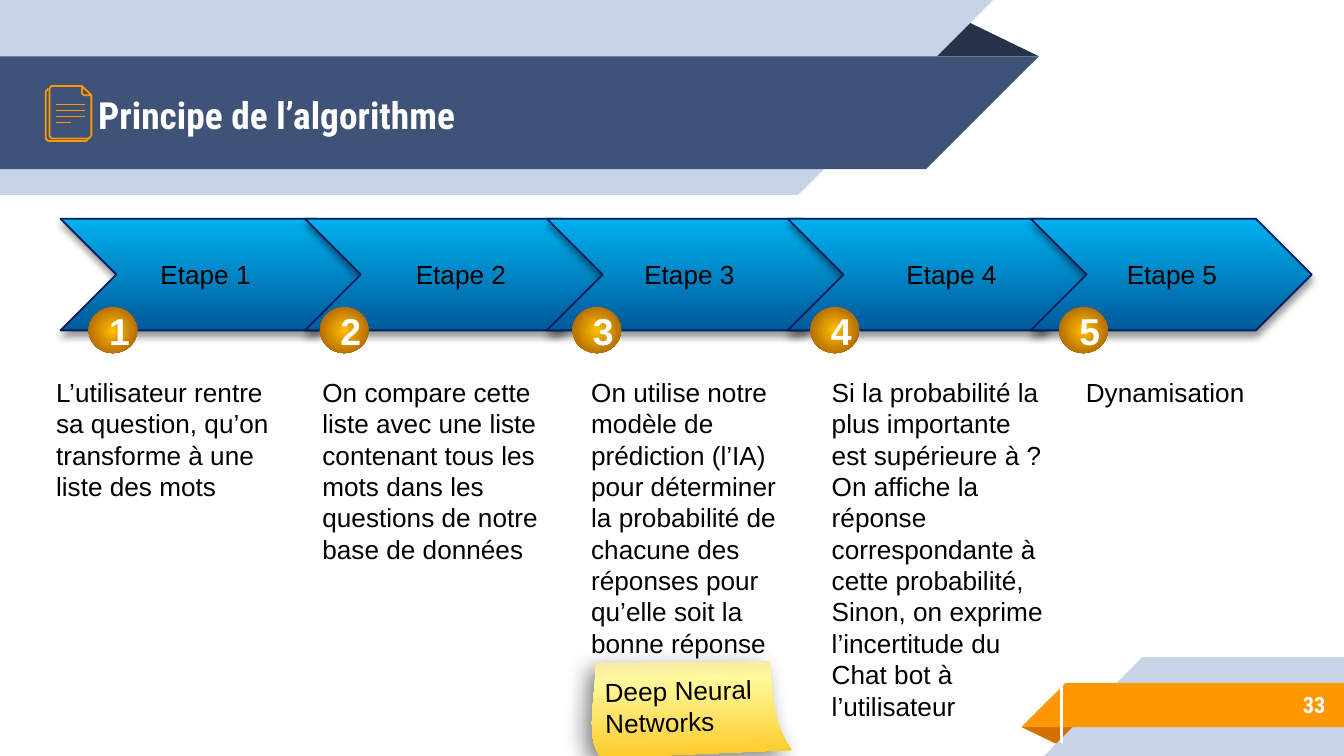
from dataclasses import dataclass

from lxml import etree
from pptx import Presentation
from pptx.dml.color import RGBColor
from pptx.enum.shapes import MSO_CONNECTOR as Connector, MSO_SHAPE as Shape
from pptx.enum.text import MSO_ANCHOR as Anchor, MSO_AUTO_SIZE as AutoSize, PP_ALIGN as Align
from pptx.oxml import parse_xml
from pptx.oxml.ns import nsdecls, qn
from pptx.slide import Slide
from pptx.util import Pt

BLACK = RGBColor(0x00, 0x00, 0x00)
WHITE = RGBColor(0xFF, 0xFF, 0xFF)
PALE_BLUE = RGBColor(0xC7, 0xD3, 0xE6)
SLATE = RGBColor(0x3F, 0x53, 0x78)
DARK_SLATE = RGBColor(0x26, 0x32, 0x48)
ORANGE = RGBColor(0xFF, 0x98, 0x00)
DARK_ORANGE = RGBColor(0xD2, 0x6F, 0x00)
NAVY = RGBColor(0x00, 0x20, 0x60)
SKY = RGBColor(0x00, 0xB0, 0xF0)
DEEP_BLUE = RGBColor(0x00, 0x5A, 0x9A)
GOLD = RGBColor(0xFF, 0xC0, 0x00)
BROWN = RGBColor(0x9E, 0x53, 0x00)
CREAM = RGBColor(0xF6, 0xE7, 0xA6)
LEMON = RGBColor(0xFE, 0xF9, 0x9C)
AMBER = RGBColor(0xFF, 0xC9, 0x26)

DOWNWARD = '<a:lin ang="5400000" scaled="0"/>'
RADIAL = '<a:path path="circle"><a:fillToRect l="50000" t="50000" r="50000" b="50000"/></a:path>'


def bezier(start, control_1, control_2, end, steps=16):
    points = []
    for step in range(1, steps + 1):
        t = step / steps
        weights = ((1 - t) ** 3, 3 * t * (1 - t) ** 2, 3 * t * t * (1 - t), t ** 3)
        curve = (start, control_1, control_2, end)
        points.append(tuple(sum(w * p[axis] for w, p in zip(weights, curve)) for axis in (0, 1)))
    return points


@dataclass
class Deck:
    slide: Slide
    body_font: str = "Arial"
    heading_font: str = "Roboto Condensed"
    body_size: float = 14
    icon_line: float = 0.96

    def set_text(self, shape, text, size=None, color=BLACK, bold=False, font=None,
                 align=Align.LEFT, anchor=Anchor.TOP, insets=(7.2, 3.6, 7.2, 3.6)):
        frame = shape.text_frame
        frame.word_wrap = True
        frame.auto_size = AutoSize.NONE
        frame.vertical_anchor = anchor
        frame.margin_left, frame.margin_top, frame.margin_right, frame.margin_bottom = map(Pt, insets)
        paragraph = frame.paragraphs[0]
        paragraph.text = text
        paragraph.alignment = align
        paragraph.font.name = font or self.body_font
        paragraph.font.size = Pt(size or self.body_size)
        paragraph.font.bold = bold
        paragraph.font.color.rgb = color

    def text(self, left, top, width, height, text, **style):
        box = self.slide.shapes.add_textbox(Pt(left), Pt(top), Pt(width), Pt(height))
        self.set_text(box, text, **style)

    def title(self, left, top, width, height, text):
        title = self.slide.shapes.title
        title.left, title.top, title.width, title.height = map(Pt, (left, top, width, height))
        self.set_text(title, text, 20, WHITE, True, self.heading_font,
                      anchor=Anchor.MIDDLE, insets=(7.2,) * 4)
        title.element.getparent().append(title.element)

    def polygon(self, points, fill=None, line=None, closed=True):
        (x, y), *rest = points
        builder = self.slide.shapes.build_freeform(Pt(x), Pt(y))
        builder.add_line_segments([(Pt(x), Pt(y)) for x, y in rest], close=closed)
        shape = builder.convert_to_shape()
        return self.finish(shape, fill, line, self.icon_line)

    def preset(self, kind, left, top, width, height, line=None):
        shape = self.slide.shapes.add_shape(kind, Pt(left), Pt(top), Pt(width), Pt(height))
        return self.finish(shape, None, line, 1)

    def finish(self, shape, fill, line, line_width):
        shape.shadow.inherit = False
        if fill is None:
            shape.fill.background()
        else:
            shape.fill.solid()
            shape.fill.fore_color.rgb = fill
        if line is None:
            shape.line.fill.background()
        else:
            shape.line.color.rgb = line
            shape.line.width = Pt(line_width)
        return shape

    def gradient(self, shape, stops, direction):
        shape.fill.gradient()
        stops_xml = "".join(
            f'<a:gs pos="{position * 1000}"><a:srgbClr val="{color}"/></a:gs>'
            for position, color in stops)
        properties = shape.element.spPr
        properties.replace(properties.find(qn("a:gradFill")), parse_xml(
            f'<a:gradFill {nsdecls("a")} rotWithShape="1"><a:gsLst>{stops_xml}</a:gsLst>{direction}</a:gradFill>'))

    def shadow(self, shape, opacity, blur, distance, angle):
        effects = shape.element.spPr.find(qn("a:effectLst"))
        effects.append(parse_xml(
            f'<a:outerShdw {nsdecls("a")} blurRad="{Pt(blur)}" dist="{Pt(distance)}" '
            f'dir="{angle * 60000}" rotWithShape="0"><a:srgbClr val="{BLACK}">'
            f'<a:alpha val="{opacity * 1000}"/></a:srgbClr></a:outerShdw>'))

    def line(self, x1, y1, x2, y2, color, width):
        line = self.slide.shapes.add_connector(Connector.STRAIGHT, *map(Pt, (x1, y1, x2, y2)))
        line.line.color.rgb = color
        line.line.width = Pt(width)
        etree.SubElement(line.element.spPr, qn("a:effectLst"))

    def chevron(self, left, width):
        chevron = self.preset(Shape.CHEVRON, left, 117.2, width, 59.8, NAVY)
        self.gradient(chevron, [(0, SKY), (100, DEEP_BLUE)], DOWNWARD)
        self.shadow(chevron, 40, 4, 3, 90)

    def badge(self, left, number):
        badge = self.preset(Shape.OVAL, left, 164.7, 26, 24.5)
        self.gradient(badge, [(0, GOLD), (98, BROWN)], RADIAL)
        self.set_text(badge, str(number), 20, WHITE, True, align=Align.CENTER, anchor=Anchor.MIDDLE)

    def document_icon(self):
        self.polygon([(47.5, 74.2), (46.1, 75.6), (25.9, 75.6), (24.5, 74.2), (24.5, 49), (25.9, 47.5)],
                     line=ORANGE, closed=False)
        self.polygon([(49, 51.1), (49, 72.7), (47.5, 74.2), (27.7, 74.2), (26.6, 73), (26.6, 47.3),
                      (27.7, 46.1), (43.9, 46.1)], line=ORANGE, closed=False)
        self.polygon([(43.9, 46.1), (49, 51.1), (45.1, 51.1), (43.9, 50.2)], line=ORANGE)
        for y, right in ((56, 45.4), (59.2, 45.4), (62.4, 45.4), (65.6, 38.2)):
            self.line(30.2, y, right, y, ORANGE, self.icon_line)

    def sticky_note(self, text):
        top_left, top_right = (319.4, 354.1), (413, 355)
        bottom_right, bottom_left = (423.7, 402.7), (322.1, 405.2)
        outline = [top_left, top_right,
                   *bezier(top_right, (413.4, 371.5), (414.5, 391), bottom_right), bottom_left,
                   *bezier(bottom_left, (312.2, 395.7), (319.8, 371.4), top_left)]
        note = self.polygon(outline)
        self.gradient(note, [(0, CREAM), (21, LEMON), (100, AMBER)], DOWNWARD)
        self.shadow(note, 50, 12, 5, 135)
        note.rotation = 359
        self.set_text(note, text, insets=(7.2, 7.2, 14.4, 3.6))


STEPS = [
    (32.4, 167, 43.9, 47.5, 23, 132.5,
     "L’utilisateur rentre sa question, qu’on transforme à une liste des mots"),
    (163.4, 167, 180.7, 171.4, 165.6, 137.5,
     "On compare cette liste avec une liste contenant tous les mots dans les questions de notre base de données"),
    (293, 167, 303.1, 306.7, 309.6, 121.7,
     "On utilise notre modèle de prédiction (l’IA) pour déterminer la probabilité de chacune des réponses "
     "pour qu’elle soit la bonne réponse"),
    (421.9, 167, 443.5, 434.2, 438.5, 128.2,
     "Si la probabilité la plus importante est supérieure à ? On affiche la réponse correspondante à cette "
     "probabilité, Sinon, on exprime l’incertitude du Chat bot à l’utilisateur"),
    (552.2, 150.5, 561.6, 567.4, 574.6, 128.2, "Dynamisation"),
]


def main():
    presentation = Presentation()
    presentation.slide_width, presentation.slide_height = Pt(720), Pt(405)
    deck = Deck(presentation.slides.add_slide(presentation.slide_layouts[5]))

    deck.polygon([(495.4, 30.2), (515.2, 10.1), (556.6, 30.2)], DARK_SLATE)
    deck.polygon([(0, 0), (532.1, 0), (427.7, 104.4), (0, 104.4)], PALE_BLUE)
    deck.polygon([(0, 30.2), (556.6, 30.2), (496.1, 90.7), (0, 90.7)], SLATE)
    deck.polygon([(547.2, 389.5), (578.2, 389.5), (568.1, 399.6)], DARK_ORANGE)
    deck.polygon([(612, 352.1), (720, 352.1), (720, 405), (559.4, 405)], PALE_BLUE)
    deck.polygon([(571, 365.8), (720, 365.8), (720, 389.5), (547.2, 389.5)], ORANGE)
    deck.text(599.8, 365, 117.4, 25.2, "33", size=12, color=WHITE, bold=True, font=deck.heading_font,
              align=Align.RIGHT, anchor=Anchor.MIDDLE, insets=(7.2,) * 4)
    deck.document_icon()
    deck.title(45.4, 33.1, 648, 56.2, "Principe de l’algorithme")

    for chevron_left, chevron_width, *_ in STEPS:
        deck.chevron(chevron_left, chevron_width)
    for number, (_, _, label_left, badge_left, detail_left, detail_width, detail) in enumerate(STEPS, 1):
        deck.text(label_left, 134.9, 132.5, 24.2, f"Etape {number}", align=Align.CENTER, anchor=Anchor.MIDDLE)
        deck.badge(badge_left, number)
        deck.text(detail_left, 198, detail_width, 177, detail)
    for x in (163.4, 306.7, 433.4, 568.8):
        deck.line(x, 200.9, x, 398.2, WHITE, 1.5)
    deck.sticky_note("Deep Neural Networks")

    presentation.save("out.pptx")


if __name__ == "__main__":
    main()
